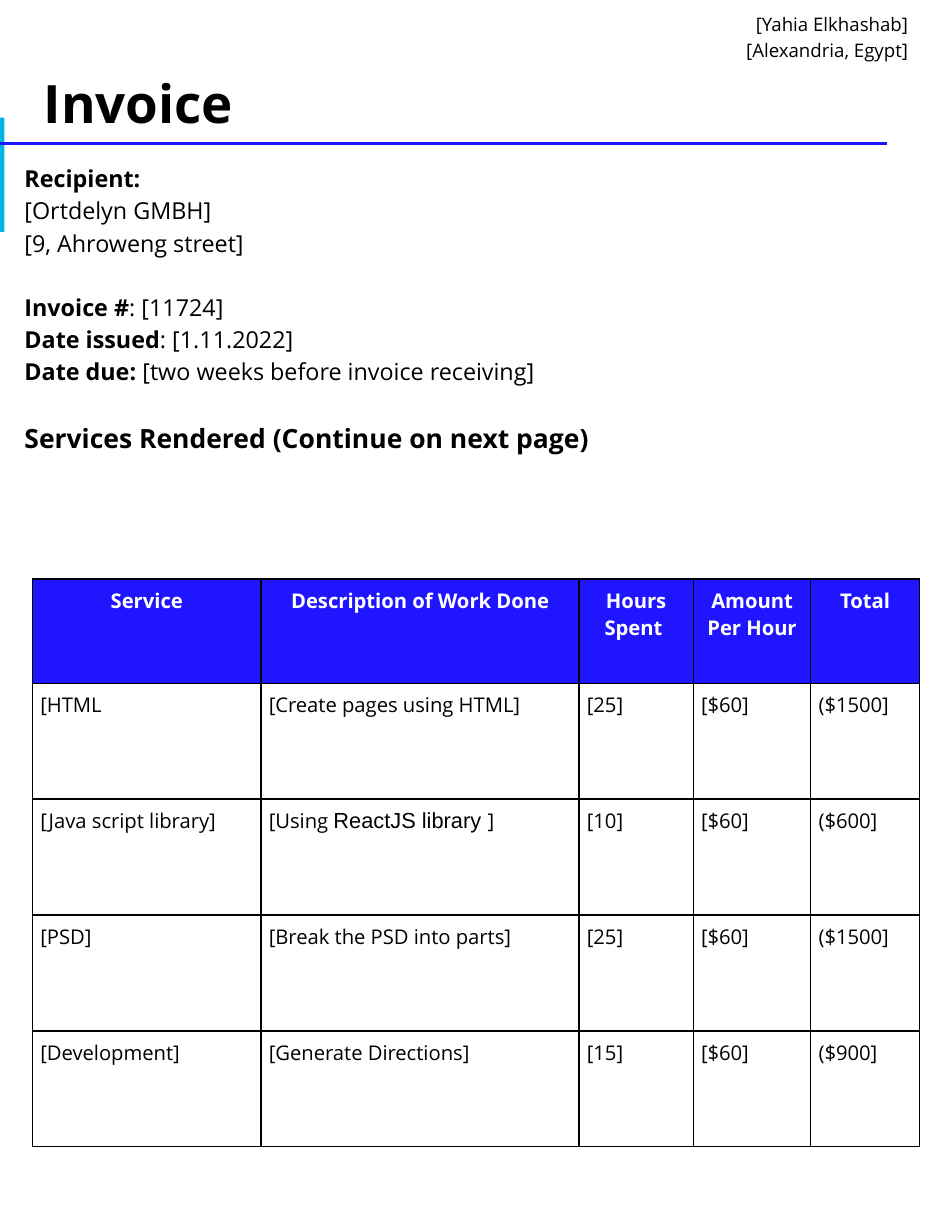
from dataclasses import dataclass

from lxml import etree
from pptx import Presentation
from pptx.dml.color import RGBColor
from pptx.enum.shapes import MSO_CONNECTOR, MSO_SHAPE
from pptx.enum.text import MSO_ANCHOR, MSO_AUTO_SIZE, PP_ALIGN
from pptx.oxml.ns import qn
from pptx.util import Inches, Pt

LEFT, CENTER, RIGHT = PP_ALIGN.LEFT, PP_ALIGN.CENTER, PP_ALIGN.RIGHT
RECT, STRAIGHT = MSO_SHAPE.RECTANGLE, MSO_CONNECTOR.STRAIGHT
MIDDLE, NO_FIT = MSO_ANCHOR.MIDDLE, MSO_AUTO_SIZE.NONE


@dataclass(frozen=True)
class Theme:
    font: str = "Open Sans"
    alt_font: str = "Arial"
    ink: str = "000000"
    white: str = "FFFFFF"
    blue: str = "2015FF"
    cyan: str = "02B4E5"
    title: float = 34
    sender: float = 12
    body: float = 15
    heading: float = 17
    table: float = 13
    alt: float = 14
    leading: float = 1.15
    gap: float = 20.7


class InvoicePage:
    """Holds the style and the current slide."""

    def __init__(self, slide, theme):
        self.s, self.t = slide, theme

    def frame(self, tf, inset):
        tf.word_wrap = True
        tf.auto_size = NO_FIT
        tf.margin_left = tf.margin_right = Inches(inset)
        tf.margin_top = tf.margin_bottom = Inches(inset)

    def paragraph(self, tf, runs, size, align=LEFT, color=None, bold=False,
                  leading=None, before=0):
        """Fill the first empty paragraph or add one; runs are (text, bold)."""
        p = tf.paragraphs[0] if not tf.text else tf.add_paragraph()
        p.alignment, p.line_spacing = align, leading
        p.space_before = Pt(before)
        p.font.name, p.font.size = self.t.font, Pt(size)
        p.font.color.rgb = RGBColor.from_string(color or self.t.ink)
        p.font.bold = bold
        for text, strong in runs:
            r = p.add_run()
            r.text = text
            if strong != bold:
                r.font.bold = strong
        return p

    def title(self, box, sender, text):
        sp = self.s.shapes.title
        sp.left, sp.top, sp.width, sp.height = map(Inches, box)
        tf = sp.text_frame
        self.frame(tf, 0.1)
        tf.vertical_anchor = MIDDLE
        for line in sender:
            self.paragraph(tf, [(line, False)], self.t.sender, RIGHT,
                           leading=self.t.leading)
        self.paragraph(tf, [(text, True)], self.t.title, bold=True,
                       leading=self.t.leading)

    def bar(self, box, color):
        sp = self.s.shapes.add_shape(RECT, *map(Inches, box))
        sp.shadow.inherit = False
        sp.fill.solid()
        sp.fill.fore_color.rgb = RGBColor.from_string(color)
        sp.line.fill.background()

    def rule(self, x1, x2, y, color, width):
        line = self.s.shapes.add_connector(STRAIGHT, *map(Inches, (x1, y, x2, y)))
        line.line.color.rgb = RGBColor.from_string(color)
        line.line.width = Pt(width)
        etree.SubElement(line._element.spPr, qn("a:effectLst"))

    def details(self, box, blocks, heading):
        tf = self.s.shapes.add_textbox(*map(Inches, box)).text_frame
        self.frame(tf, 0.1)
        for b, block in enumerate(blocks):
            for i, (label, value) in enumerate(block):
                runs = [(text, strong) for text, strong
                        in ((label, True), (value, False)) if text]
                self.paragraph(tf, runs, self.t.body, bold=not value,
                               leading=self.t.leading,
                               before=self.t.gap if b and not i else 0)
        self.paragraph(tf, [(heading, True)], self.t.heading, bold=True,
                       leading=self.t.leading, before=self.t.gap)

    def borders(self, cell):
        tc_pr = cell._tc.get_or_add_tcPr()
        for i, side in enumerate(("a:lnL", "a:lnR", "a:lnT", "a:lnB")):
            ln = etree.Element(qn(side), w=str(Pt(1)))
            fill = etree.SubElement(ln, qn("a:solidFill"))
            etree.SubElement(fill, qn("a:srgbClr"), val=self.t.ink)
            tc_pr.insert(i, ln)

    def table(self, box, widths, heights, rows):
        table = self.s.shapes.add_table(len(rows), len(widths),
                                        *map(Inches, box)).table
        for col, width in zip(table.columns, widths):
            col.width = Inches(width)
        for row, height in zip(table.rows, heights):
            row.height = Inches(height)
        for i, row in enumerate(rows):
            header = i == 0
            for j, value in enumerate(row):
                cell = table.cell(i, j)
                cell.margin_left = cell.margin_right = Inches(0.07)
                cell.margin_top = cell.margin_bottom = Inches(0.07)
                if header:
                    cell.fill.solid()
                    cell.fill.fore_color.rgb = RGBColor.from_string(self.t.blue)
                else:
                    cell.fill.background()
                self.borders(cell)
                parts = (value,) if isinstance(value, str) else value
                p = self.paragraph(cell.text_frame,
                                   [(part, header) for part in parts],
                                   self.t.table, CENTER if header else LEFT,
                                   self.t.white if header else self.t.ink, header)
                # The middle part of a split cell is in the second font
                for r in p.runs[1:2]:
                    r.font.name, r.font.size = self.t.alt_font, Pt(self.t.alt)


SENDER = ["[Yahia Elkhashab]", "[Alexandria, Egypt]"]
BLOCKS = [
    [("Recipient: ", ""), ("", "[Ortdelyn GMBH]"), ("", "[9, Ahroweng street]")],
    [("Invoice #", ": [11724]"), ("Date issued", ": [1.11.2022]"),
     ("Date due: ", "[two weeks before invoice receiving]")],
]
SERVICES = [
    ("Service", "Description of Work Done", "Hours Spent ", "Amount Per Hour", "Total"),
    ("[HTML", "[Create pages using HTML]", "[25]", "[$60]", "($1500]"),
    ("[Java script library]", ("[Using ", "ReactJS library ", "]"),
     "[10]", "[$60]", "($600]"),
    ("[PSD]", "[Break the PSD into parts]", "[25]", "[$60]", "($1500]"),
    ("[Development]", "[Generate Directions]", "[15]", "[$60]", "($900]"),
]


def main():
    prs = Presentation()
    prs.slide_width, prs.slide_height = Inches(8.5), Inches(11)
    theme = Theme()
    page = InvoicePage(prs.slides.add_slide(prs.slide_layouts[5]), theme)

    # Header: accent bar, sender and title, rule
    page.bar((0, 1.05, 0.04, 1.02), theme.cyan)
    page.title((0.29, 0, 7.92, 1.28), SENDER, "Invoice")
    page.rule(0, 7.92, 1.28, theme.blue, 1.5)

    # Invoice details
    page.details((0.12, 1.33, 8.26, 3.09), BLOCKS,
                 "Services Rendered (Continue on next page)")

    # Services table
    page.table((0.29, 5.17, 7.92, 5.07), (2.04, 2.84, 1.02, 1.05, 0.97),
               [0.93] + [1.035] * 4, SERVICES)
    prs.save("out.pptx")


if __name__ == "__main__":
    main()
